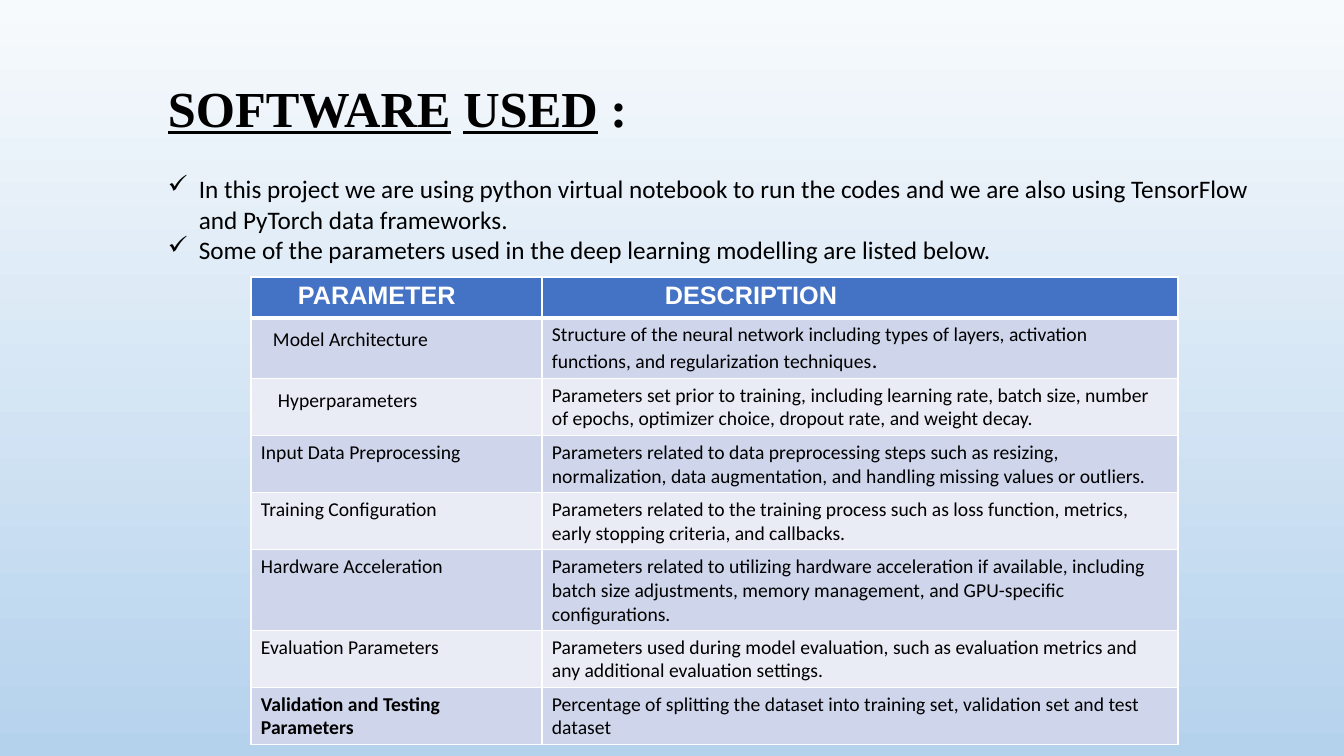
from pptx import Presentation
from pptx import util as u
from pptx.dml.color import RGBColor
from pptx.enum import text
from pptx.oxml import parse_xml
from pptx.oxml.ns import nsdecls

PX = 9071.43
BLACK = RGBColor(0, 0, 0)
WHITE = RGBColor(255, 255, 255)
HEADER_BLUE = RGBColor(0x44, 0x72, 0xC4)
BANDS = RGBColor(0xCF, 0xD5, 0xEA), RGBColor(0xE9, 0xEB, 0xF5)
SKY_TOP = RGBColor(0xF7, 0xFA, 0xFD)
SKY_BOTTOM = RGBColor(0xB5, 0xD2, 0xEC)

TITLE = [("SOFTWARE", True), (" ", False), ("USED", True), (" :", False)]
POINTS = [
    "In this project we are using python virtual notebook to run the codes and we are also using TensorFlow and PyTorch data frameworks.",
    "Some of the parameters used in the deep learning modelling are listed below.",
]
HEADINGS = [("PARAMETER", 37), ("DESCRIPTION", 113)]
PARAMETERS = [
    ("Model Architecture", "Structure of the neural network including types of layers, activation functions, and regularization techniques"),
    ("Hyperparameters", "Parameters set prior to training, including learning rate, batch size, number of epochs, optimizer choice, dropout rate, and weight decay."),
    ("Input Data Preprocessing", "Parameters related to data preprocessing steps such as resizing, normalization, data augmentation, and handling missing values or outliers."),
    ("Training Configuration", "Parameters related to the training process such as loss function, metrics, early stopping criteria, and callbacks."),
    ("Hardware Acceleration", "Parameters related to utilizing hardware acceleration if available, including batch size adjustments, memory management, and GPU-specific configurations."),
    ("Evaluation Parameters", "Parameters used during model evaluation, such as evaluation metrics and any additional evaluation settings."),
    ("Validation and Testing Parameters", "Percentage of splitting the dataset into training set, validation set and test dataset"),
]
NAME_INDENTS = {"Model Architecture": 12, "Hyperparameters": 17}


def px(length):
    """Turn a length in px into EMU."""
    return u.Emu(round(length * PX))


def write(paragraph, words, size=14, font="Calibri", color=BLACK, bold=False, underline=False):
    """Add formatted words to a paragraph."""
    run = paragraph.add_run()
    run.text = words
    run.font.size = u.Pt(size)
    run.font.name = font
    run.font.color.rgb = color
    run.font.bold = bold
    run.font.underline = underline


def paint_background(slide):
    """Fill the slide with a vertical gradient."""
    fill = slide.background.fill
    fill.gradient()
    fill.gradient_angle = 270
    for stop, color in zip(fill.gradient_stops, (SKY_TOP, SKY_BOTTOM)):
        stop.color.rgb = color


def add_check_mark(paragraph):
    """Give a paragraph a hanging check mark."""
    properties = paragraph._p.get_or_add_pPr()
    properties.set("marL", str(px(31)))
    properties.set("indent", str(-px(31)))
    properties.append(parse_xml(f'<a:buChar {nsdecls("a")} char="✓"/>'))


def add_intro(slide):
    """Add the title and the checked points."""
    intro = slide.shapes.add_textbox(px(158), px(72), px(1113), px(197)).text_frame
    intro.word_wrap = True
    intro.auto_size = text.MSO_AUTO_SIZE.SHAPE_TO_FIT_TEXT
    title = intro.paragraphs[0]
    title.space_after = u.Pt(26)
    for words, underline in TITLE:
        write(title, words, size=36, font="Times New Roman", bold=True, underline=underline)
    for words in POINTS:
        point = intro.add_paragraph()
        add_check_mark(point)
        write(point, words, size=18)


def style_cell(cell, fill, bottom=1, indent=0, drop=0):
    """Set a cell's fill, white borders and text inset."""
    cell.fill.solid()
    cell.fill.fore_color.rgb = fill
    cell.margin_left = px(10 + indent)
    cell.margin_top = px(5 + drop)
    properties = cell._tc.get_or_add_tcPr()
    for place, (side, width) in enumerate([("L", 1), ("R", 1), ("T", 1), ("B", bottom)]):
        properties.insert(place, parse_xml(
            f'<a:ln{side} {nsdecls("a")} w="{u.Pt(width)}"><a:solidFill>'
            f'<a:srgbClr val="{WHITE}"/></a:solidFill></a:ln{side}>'))


def add_parameter_table(slide):
    """Add the table of parameters and descriptions."""
    row_count = len(PARAMETERS) + 1
    frame = slide.shapes.add_table(row_count, 2, px(251), px(277), px(927), px(41 * row_count))
    frame.height = px(468)
    table = frame.table
    for column, width in zip(table.columns, (291, 636)):
        column.width = px(width)
    for cell, (heading, indent) in zip(table.rows[0].cells, HEADINGS):
        style_cell(cell, HEADER_BLUE, bottom=3, indent=indent)
        write(cell.text_frame.paragraphs[0], heading, size=18, font="Arial", color=WHITE, bold=True)
    for row, (name, description) in enumerate(PARAMETERS, 1):
        band = BANDS[(row - 1) % 2]
        indent = NAME_INDENTS.get(name, 0)
        name_cell, description_cell = table.rows[row].cells
        style_cell(name_cell, band, indent=indent, drop=5 if indent else 0)
        style_cell(description_cell, band)
        write(name_cell.text_frame.paragraphs[0], name, bold=row == len(PARAMETERS))
        write(description_cell.text_frame.paragraphs[0], description)
    write(table.cell(1, 1).text_frame.paragraphs[0], ".", size=16)


def main():
    """Build and save the slide."""
    deck = Presentation()
    deck.slide_width, deck.slide_height = px(1344), px(756)
    slide = deck.slides.add_slide(deck.slide_layouts[6])
    paint_background(slide)
    add_intro(slide)
    add_parameter_table(slide)
    deck.save("out.pptx")


if __name__ == "__main__":
    main()
